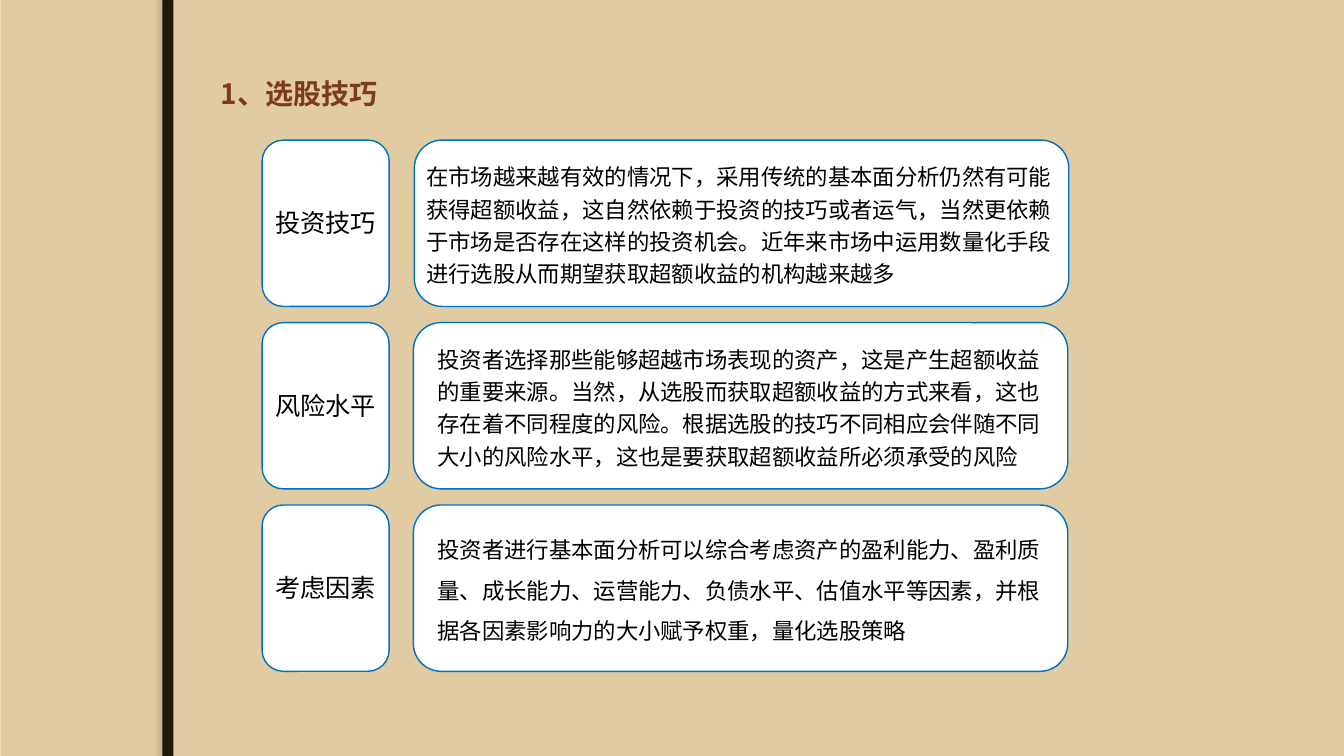
from lxml import etree
from pptx import Presentation
from pptx.dml import color
from pptx.enum import shapes, text
from pptx.oxml import ns
from pptx.util import Inches, Pt

FONT = "Noto Sans CJK SC"
ROW_TOP, ROW_PITCH, ROW_HEIGHT = 1.39, 1.81, 1.65
LABEL_LEFT, LABEL_WIDTH = 2.6, 1.26
CARD_WIDTH = 6.49

ROWS = [
    ("投资技巧",
     "在市场越来越有效的情况下，采用传统的基本面分析仍然有可能获得超额收益，这自然依赖于投资的技巧或者运气，当然更依赖于市场是否存在这样的投资机会。近年来市场中运用数量化手段进行选股从而期望获取超额收益的机构越来越多",
     4.11, 0.02, 1.39, 1.2),
    ("风险水平",
     "投资者选择那些能够超越市场表现的资产，这是产生超额收益的重要来源。当然，从选股而获取超额收益的方式来看，这也存在着不同程度的风险。根据选股的技巧不同相应会伴随不同大小的风险水平，这也是要获取超额收益所必须承受的风险",
     4.1, 0.14, 1.39, 1.2),
    ("考虑因素",
     "投资者进行基本面分析可以综合考虑资产的盈利能力、盈利质量、成长能力、运营能力、负债水平、估值水平等因素，并根据各因素影响力的大小赋予权重，量化选股策略",
     4.1, 0.14, 1.31, 1.5),
]


def rgb(value):
    return color.RGBColor.from_string(value)


def add_block(slide, kind, box, fill, outline=None):
    block = slide.shapes.add_shape(kind, *map(Inches, box))
    block.shadow.inherit = False
    block.fill.solid()
    block.fill.fore_color.rgb = rgb(fill)
    if outline:
        block.line.color.rgb = rgb(outline)
        block.line.width = Pt(1)
    else:
        block.line.fill.background()
    return block


def add_words(slide, box, words, size, ink="000000", bold=False,
              align=text.PP_ALIGN.LEFT, anchor=text.MSO_ANCHOR.TOP, spacing=1.0):
    frame = slide.shapes.add_textbox(*map(Inches, box)).text_frame
    frame.word_wrap = True
    frame.vertical_anchor = anchor
    paragraph = frame.paragraphs[0]
    paragraph.text = words
    paragraph.alignment = align
    paragraph.line_spacing = spacing
    font = paragraph.font
    font.size = Pt(size)
    font.bold = bold
    font.color.rgb = rgb(ink)
    font.name = FONT
    latin = next(paragraph._p.iter(ns.qn("a:latin")))
    east_asian = etree.Element(ns.qn("a:ea"), typeface=FONT)
    latin.addnext(east_asian)


def add_backdrop(slide, width, height):
    slide.background.fill.solid()
    slide.background.fill.fore_color.rgb = rgb("EBDDC3")
    rectangle = shapes.MSO_SHAPE.RECTANGLE
    add_block(slide, rectangle, (0.01, 0, width - 0.01, height), "E0CBA3")
    spine = add_block(slide, rectangle, (1.61, 0, 0.11, height), "20190B")
    effects = spine._element.spPr.find(ns.qn("a:effectLst"))
    shadow = etree.SubElement(effects, ns.qn("a:outerShdw"), blurRad=str(Pt(3)),
                              dist=str(Pt(3)), dir="10800000", rotWithShape="0")
    tint = etree.SubElement(shadow, ns.qn("a:srgbClr"), val="766E60")
    etree.SubElement(tint, ns.qn("a:alpha"), val="25000")


def add_row(slide, top, label, description, card_left, inset, text_height, spacing):
    rounded = shapes.MSO_SHAPE.ROUNDED_RECTANGLE
    add_block(slide, rounded, (card_left, top, CARD_WIDTH, ROW_HEIGHT), "FFFFFF", "0070C0")
    add_words(slide, (card_left + inset, top + 0.13, CARD_WIDTH - 2 * inset, text_height),
              description, 16, spacing=spacing)
    add_block(slide, rounded, (LABEL_LEFT, top, LABEL_WIDTH, ROW_HEIGHT), "FFFFFF", "0070C0")
    add_words(slide, (LABEL_LEFT, top + 0.62, LABEL_WIDTH, 0.4), label, 18,
              align=text.PP_ALIGN.CENTER)


def main():
    deck = Presentation()
    deck.slide_width, deck.slide_height = Inches(13.33), Inches(7.5)
    slide = deck.slides.add_slide(deck.slide_layouts[6])
    add_backdrop(slide, 13.33, 7.5)
    add_words(slide, (2.09, 0.3, 10.93, 1.25), "1、选股技巧", 20, "7B3D17", True,
              anchor=text.MSO_ANCHOR.MIDDLE)
    for index, row in enumerate(ROWS):
        add_row(slide, ROW_TOP + index * ROW_PITCH, *row)
    deck.save("out.pptx")


if __name__ == "__main__":
    main()
